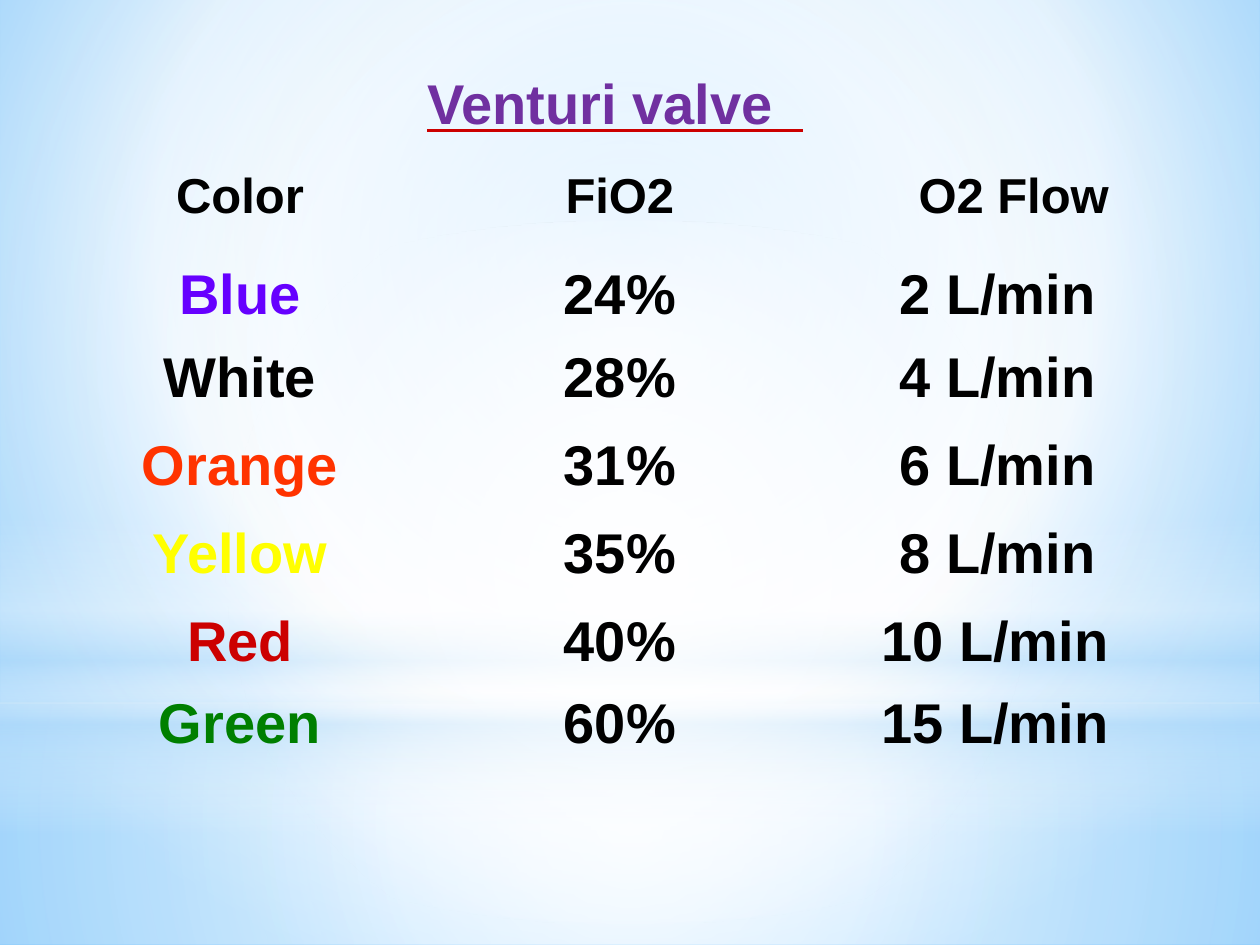
import pptx
import pptx.dml.color
import pptx.enum.shapes
import pptx.enum.text
import pptx.oxml
import pptx.oxml.ns
import pptx.util

Inches, Pt = pptx.util.Inches, pptx.util.Pt
RGB = pptx.dml.color.RGBColor
SHAPE = pptx.enum.shapes.MSO_SHAPE
ALIGN = pptx.enum.text.PP_ALIGN
qn = pptx.oxml.ns.qn

WHITE = RGB(0xFF, 0xFF, 0xFF)
PALE = RGB(0xB4, 0xDC, 0xFA)
SKY = RGB(0x9E, 0xD5, 0xFF)
DEEP = RGB(0x5B, 0xB9, 0xFF)
BLACK = RGB(0, 0, 0)
PURPLE = RGB(0x70, 0x30, 0xA0)
BLUE = RGB(0x66, 0x00, 0xFF)
ORANGE = RGB(0xFF, 0x33, 0x00)
YELLOW = RGB(0xFF, 0xFF, 0x00)
RED = RGB(0xCC, 0x00, 0x00)
GREEN = RGB(0x00, 0x7F, 0x00)
CENTRE = (50, 50, 50, 50)


def shade(owner, stops, focus=None):
    """Swap the solid fill of owner for a gradient: circular if it has a focus, else downward."""
    marks = "".join(
        f'<a:gs pos="{pos * 1000}"><a:srgbClr val="{tone}">'
        f'<a:alpha val="{alpha * 1000}"/></a:srgbClr></a:gs>'
        for pos, tone, alpha in stops)
    if focus:
        sides = " ".join(f'{s}="{v * 1000}"' for s, v in zip("ltrb", focus))
        flow = f'<a:path path="circle"><a:fillToRect {sides}/></a:path>'
    else:
        flow = '<a:lin ang="5400000" scaled="0"/>'
    solid = owner.find(".//" + qn("a:solidFill"))
    solid.getparent().replace(solid, pptx.oxml.parse_xml(
        f'<a:gradFill {pptx.oxml.ns.nsdecls("a")} rotWithShape="1">'
        f'<a:gsLst>{marks}</a:gsLst>{flow}</a:gradFill>'))


deck = pptx.Presentation()
deck.slide_width, deck.slide_height = Inches(10), Inches(7.5)
wide, high = deck.slide_width, deck.slide_height
slide = deck.slides.add_slide(deck.slide_layouts[6])

# Backdrop
slide.background.fill.solid()
shade(slide.element, [(0, SKY, 100), (60, WHITE, 100), (100, DEEP, 100)], (20, 10, 20, 60))

split = Inches(5.58)
layers = [
    (SHAPE.RECTANGLE, split, high - split,
     [(0, WHITE, 91), (37, WHITE, 76), (100, PALE, 79)], CENTRE),
    (SHAPE.RECTANGLE, 0, split,
     [(0, WHITE, 89), (48, WHITE, 62), (100, PALE, 79)], CENTRE),
    (SHAPE.RECTANGLE, Inches(4.12), high // 3,
     [(0, WHITE, 0), (29, WHITE, 30), (45, PALE, 40),
      (55, WHITE, 26), (65, PALE, 60), (100, WHITE, 0)], None),
    (SHAPE.OVAL, Inches(1.75), split, [(0, WHITE, 100), (56, WHITE, 0)], CENTRE),
]
for kind, top, tall, stops, focus in layers:
    layer = slide.shapes.add_shape(kind, 0, top, wide, tall)
    layer.shadow.inherit = False
    layer.line.fill.background()
    layer.fill.solid()
    shade(layer.element, stops, focus)

# Table: row height, top margin, colour of first cell, texts
rows = [
    (0.64, 0, PURPLE, ("", "Venturi valve", "")),
    (0.74, 0.11, BLACK, ("Color", "FiO2", "O2 Flow")),
    (0.74, 0.12, BLUE, ("Blue", "24%", "2 L/min")),
    (0.68, 0.04, BLACK, ("White", "28%", "4 L/min")),
    (0.70, 0.06, ORANGE, ("Orange", "31%", "6 L/min")),
    (0.70, 0.06, YELLOW, ("Yellow", "35%", "8 L/min")),
    (0.67, 0.06, RED, ("Red", "40%", "10 L/min")),
    (0.57, 0.04, GREEN, ("Green", "60%", "15 L/min")),
]
# Column width, left and right margins, alignment
cols = [(1.94, 0, 0.33, ALIGN.CENTER), (3.66, 0.1, 0, ALIGN.CENTER), (2.15, 0, 0.05, ALIGN.RIGHT)]

frame = slide.shapes.add_table(len(rows), len(cols), Inches(1.1), Inches(0.59),
                               Inches(7.75), Inches(5.44))
table = frame.table
table.first_row = table.horz_banding = False
style = frame.element.find(".//" + qn("a:tableStyleId"))
style.text = "{2D5ABB26-0587-4C30-8999-92F81FD0307C}"  # no style, no grid

for c, col in enumerate(cols):
    table.columns[c].width = Inches(col[0])
for r, (tall, top, tone, texts) in enumerate(rows):
    table.rows[r].height = Inches(tall)
    for c, (width, left, right, align) in enumerate(cols):
        cell = table.cell(r, c)
        cell.fill.background()
        cell.margin_left, cell.margin_right = Inches(left), Inches(right)
        cell.margin_top, cell.margin_bottom = Inches(top), 0
        para = cell.text_frame.paragraphs[0]
        para.alignment = align
        if c == 2 and 2 <= r <= 5:  # one-digit flows line up on the left
            para.alignment = ALIGN.LEFT
            cell.margin_left = Inches(0.44)
        if texts[c]:
            para.add_run().text = texts[c]
        font = para.font
        font.name, font.bold = "Arial", True
        font.size = Pt(28 if r == 1 else 32)
        font.color.rgb = tone if c == 0 or r == 0 else BLACK

# Title: purple letters on a red rule that runs on past the last word
cell = table.cell(0, 1)
cell.margin_left = Inches(0.35)
title = cell.text_frame.paragraphs[0]
title.alignment = ALIGN.LEFT
title.line_spacing = Pt(35.4)
for face in ("Times New Roman", "Arial"):
    tail = title.add_run()
    tail.text = " "
    tail.font.name = face
for run in title.runs:
    run.font.underline = True
    rule = pptx.oxml.parse_xml(
        f'<a:uFill {pptx.oxml.ns.nsdecls("a")}><a:solidFill>'
        f'<a:srgbClr val="{RED}"/></a:solidFill></a:uFill>')
    run.font._element.insert(0, rule)

deck.save("out.pptx")
